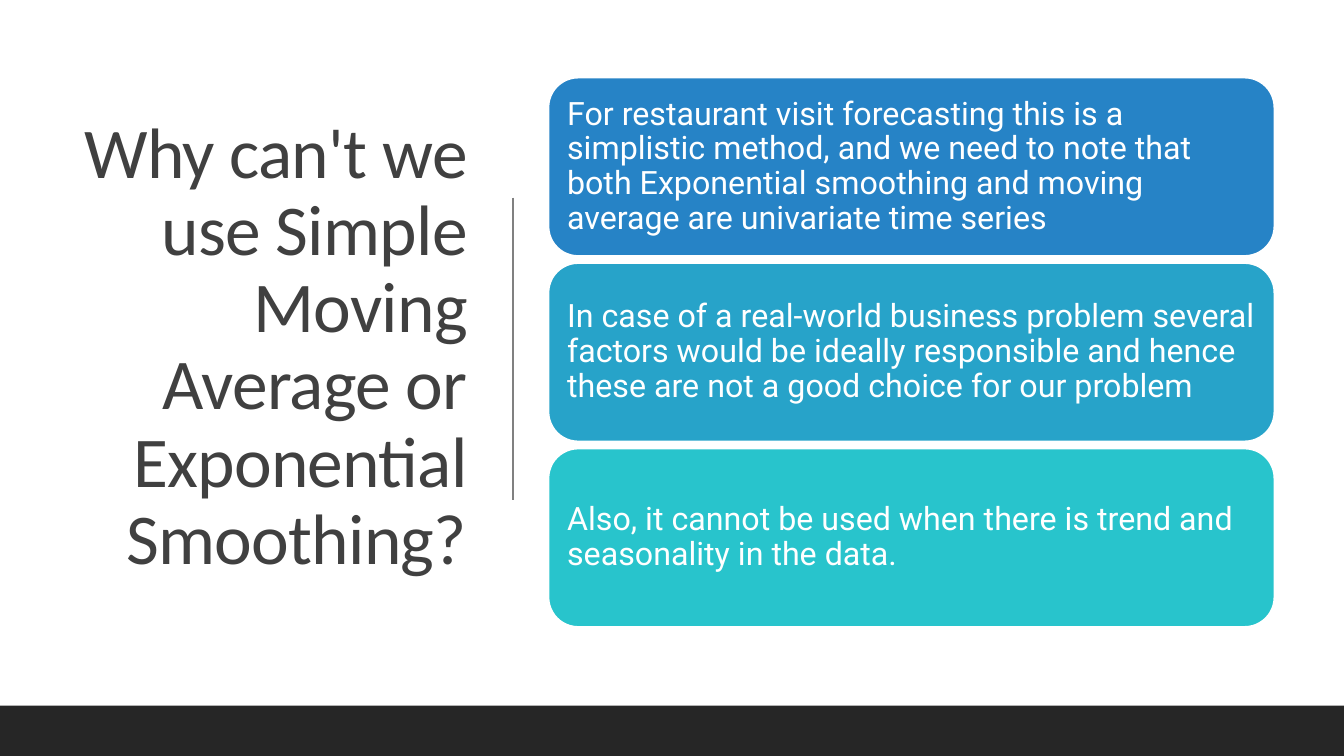
from pptx import Presentation
from pptx.dml.color import RGBColor
from pptx.enum.shapes import MSO_CONNECTOR as Connector, MSO_SHAPE as Shape
from pptx.enum.text import MSO_ANCHOR as Anchor, PP_ALIGN as Align
from pptx.oxml.ns import qn
from pptx.util import Inches, Pt

COLORS = {
    "white": "FFFFFF",
    "title": "404040",
    "divider": "808080",
    "footer": "262626",
    "blue": "2683C6",
    "azure": "27A3C9",
    "teal": "28C4CC",
}
WIDTH, HEIGHT = 13.33, 7.5


class SlideBuilder:
    title_font, body_font = "Calibri", "Roboto"

    def __init__(self, slide):
        self.slide = slide

    def color(self, name):
        return RGBColor.from_string(COLORS[name])

    def box(self, kind, left, top, width, height, fill, line=None):
        shape = self.slide.shapes.add_shape(
            kind, Inches(left), Inches(top), Inches(width), Inches(height))
        shape.shadow.inherit = False
        shape.fill.solid()
        shape.fill.fore_color.rgb = self.color(fill)
        if line:
            shape.line.color.rgb = self.color(line)
            shape.line.width = Pt(1.25)
        else:
            shape.line.fill.background()
        return shape

    def add_text(self, shape, text, font, size, color, align):
        frame = shape.text_frame
        frame.word_wrap = True
        frame.vertical_anchor = Anchor.MIDDLE
        frame.margin_left = frame.margin_right = Inches(0.1)
        paragraph = frame.paragraphs[0]
        paragraph.alignment = align
        paragraph.line_spacing = 0.9
        run = paragraph.add_run()
        run.text = text
        run.font.name = font
        run.font.size = Pt(size)
        run.font.color.rgb = self.color(color)
        return run

    def title(self, text, left, top, width, height):
        shape = self.slide.shapes.add_textbox(
            Inches(left), Inches(top), Inches(width), Inches(height))
        run = self.add_text(shape, text, self.title_font, 51, "title", Align.RIGHT)
        run.font._element.set("spc", "-50")

    def card(self, text, left, top, width, height, fill):
        shape = self.box(Shape.ROUNDED_RECTANGLE, left, top, width, height,
                         fill, "white")
        frame = shape.text_frame
        frame.margin_top = frame.margin_bottom = Inches(0.1)
        self.add_text(shape, text, self.body_font, 23, "white", Align.LEFT)

    def divider(self, x, top, bottom):
        line = self.slide.shapes.add_connector(
            Connector.STRAIGHT, Inches(x), Inches(top), Inches(x), Inches(bottom))
        line.line.color.rgb = self.color("divider")
        line.line.width = Pt(1)
        properties = line._element.spPr
        properties.append(properties.makeelement(qn("a:effectLst"), {}))


def main():
    presentation = Presentation()
    presentation.slide_width = Inches(WIDTH)
    presentation.slide_height = Inches(HEIGHT)
    builder = SlideBuilder(
        presentation.slides.add_slide(presentation.slide_layouts[6]))

    # Backdrop, title and divider
    builder.box(Shape.RECTANGLE, 0, 0, WIDTH, HEIGHT, "white")
    builder.title(
        "Why can't we use Simple Moving Average or Exponential Smoothing?",
        0.7, 0.69, 4.03, 5.53)
    builder.divider(5.09, 1.96, 4.96)

    # Footer band
    builder.box(Shape.RECTANGLE, 0, 7, WIDTH, 0.5, "footer")

    # Reasons, stacked at an equal pitch
    reasons = [
        ("blue", "For restaurant visit forecasting this is a simplistic method, "
                 "and we need to note that both Exponential smoothing and moving "
                 "average are univariate time series"),
        ("azure", "In case of a real-world business problem several factors would "
                  "be ideally responsible and hence these are not a good choice "
                  "for our problem"),
        ("teal", "Also, it cannot be used when there is trend and seasonality "
                 "in the data."),
    ]
    card_top, card_height, gap = 0.77, 1.77, 0.07
    for index, (fill, text) in enumerate(reasons):
        top = card_top + index * (card_height + gap)
        builder.card(text, 5.44, top, 7.2, card_height, fill)

    presentation.save("out.pptx")


if __name__ == "__main__":
    main()
